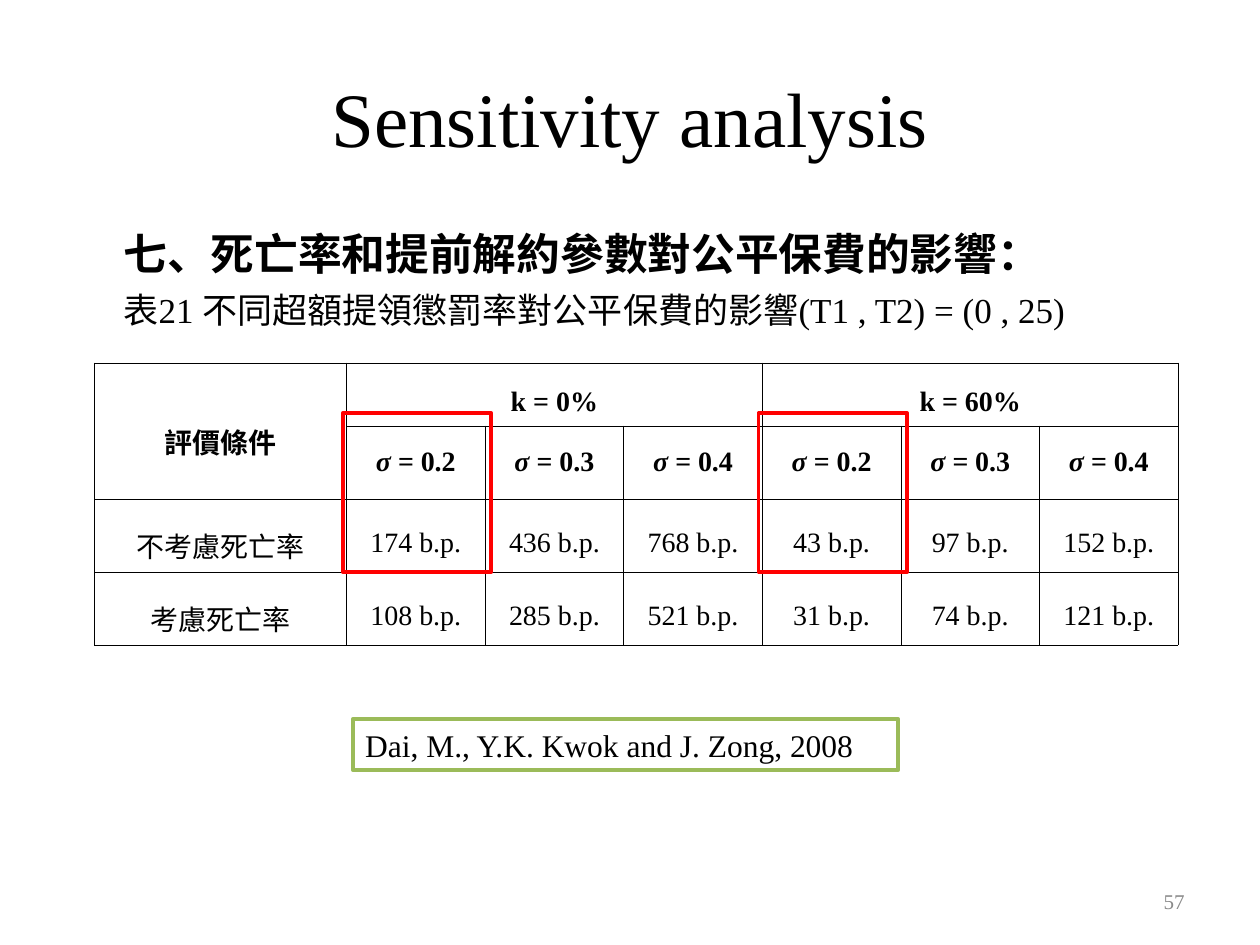
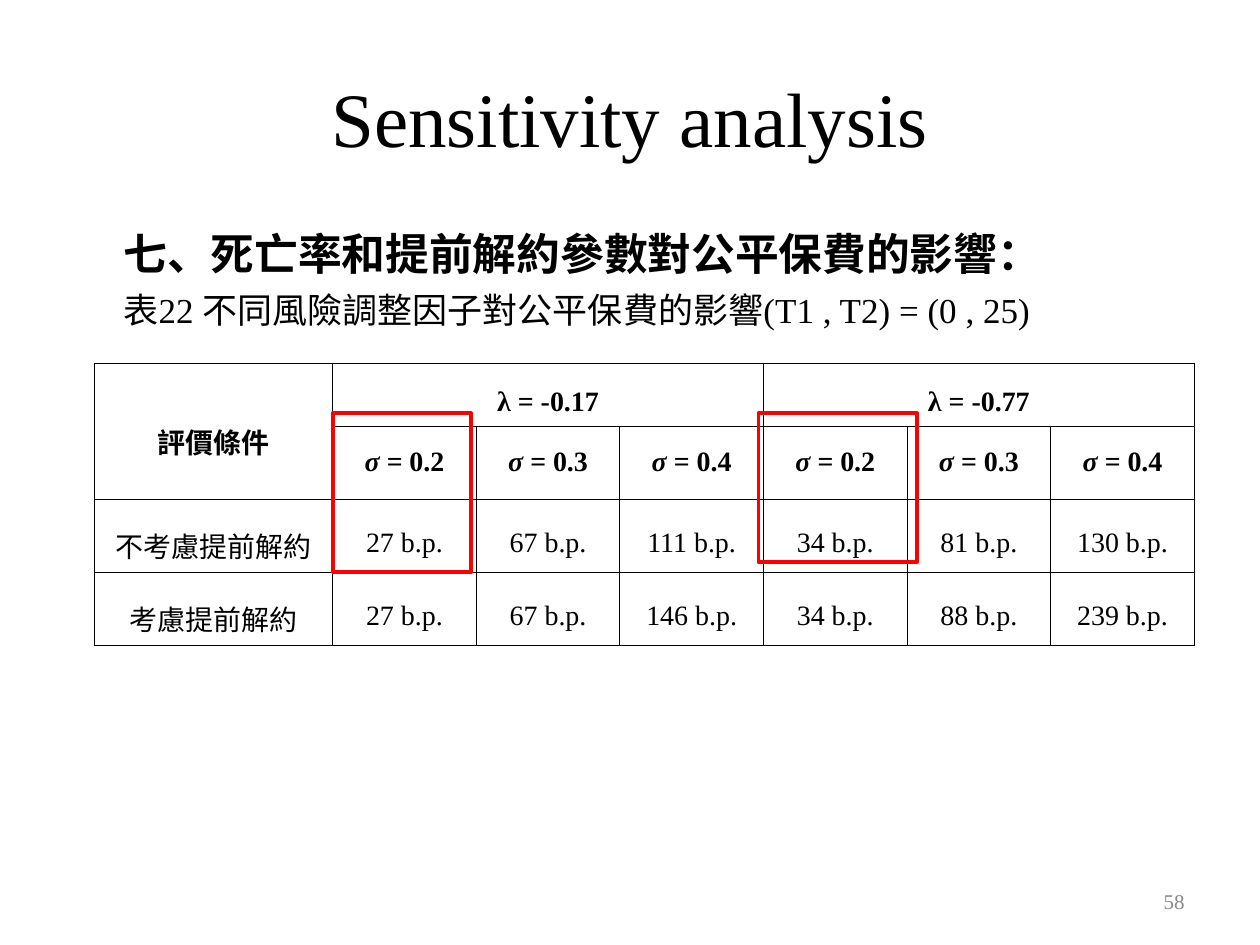
"""Build two sensitivity analysis slides on fair insurance fees."""
from lxml.etree import SubElement
from pptx import Presentation
from pptx.dml.color import RGBColor
from pptx.enum.shapes import MSO_SHAPE
from pptx.enum.text import MSO_ANCHOR, MSO_AUTO_SIZE, PP_ALIGN
from pptx.oxml.ns import qn
from pptx.util import Inches, Pt

FONT = "Times New Roman"
HUES = {"ink": "000000", "mark": "FF0000", "cite": "9BBB59", "page": "898989", "back": "FFFFFF"}
TITLE = "Sensitivity analysis"
HEAD = "七、死亡率和提前解約參數對公平保費的影響："
CORNER = "評價條件"
SIGMAS = ["0.2", "0.3", "0.4"]
HEIGHTS = [0.47, 0.58, 0.58, 0.58]
LEFT, TOP = 0.75, 2.88
SLIDES = [
    {
        "page": "57",
        "sub": "表21 不同超額提領懲罰率對公平保費的影響(T1 , T2) = (0 , 25)",
        "groups": ["k = 0%", "k = 60%"],
        "rows": [
            ("不考慮死亡率", [174, 436, 768, 43, 97, 152]),
            ("考慮死亡率", [108, 285, 521, 31, 74, 121]),
        ],
        "widths": (2, 1.1),
        "marks": [(2.72, 3.28, 1.18, 1.26), (6.02, 3.28, 1.18, 1.26)],
        "cite": "Dai, M., Y.K. Kwok and J. Zong, 2008",
    },
    {
        "page": "58",
        "sub": "表22 不同風險調整因子對公平保費的影響(T1 , T2) = (0 , 25)",
        "groups": ["λ = -0.17", "λ = -0.77"],
        "rows": [
            ("不考慮提前解約", [27, 67, 111, 34, 81, 130]),
            ("考慮提前解約", [27, 67, 146, 34, 88, 239]),
        ],
        "widths": (1.89, 1.14),
        "marks": [(2.64, 3.28, 1.1, 1.26), (6.02, 3.28, 1.26, 1.18)],
        "cite": None,
    },
]


def tint(name):
    return RGBColor.from_string(HUES[name])


def style(para, size, hue="ink", bold=False, align=PP_ALIGN.LEFT):
    para.alignment = align
    for run in para.runs:
        font = run.font
        font.name, font.size, font.bold = FONT, Pt(size), bold
        font.color.rgb = tint(hue)


def place(shape, *box):
    shape.left, shape.top, shape.width, shape.height = map(Inches, box)


def add_text(slide, data):
    title, body = slide.placeholders
    place(title, 0.5, 0.3, 9, 1.25)
    title.text_frame.text = TITLE
    style(title.text_frame.paragraphs[0], 44, align=PP_ALIGN.CENTER)

    place(body, 0.5, 1.75, 9, 4.95)
    frame = body.text_frame
    frame.auto_size = MSO_AUTO_SIZE.NONE
    frame.text = HEAD + "\n" + data["sub"]
    for para, size, bold, gap in zip(frame.paragraphs, (25, 20), (True, False), (0, 5)):
        props = para._p.get_or_add_pPr()
        props.set("marL", str(Inches(0.38)))
        props.set("indent", "0")
        SubElement(props, qn("a:buNone"))
        para.space_before = Pt(gap)
        style(para, size, bold=bold)

    page = slide.shapes.add_textbox(*map(Inches, (7.17, 6.95, 2.33, 0.4))).text_frame
    page.word_wrap = True
    page.vertical_anchor = MSO_ANCHOR.MIDDLE
    page.text = data["page"]
    style(page.paragraphs[0], 12, "page", align=PP_ALIGN.RIGHT)


def frame_cell(cell):
    props = cell._tc.get_or_add_tcPr()
    for side in ("lnL", "lnR", "lnT", "lnB"):
        line = SubElement(props, qn("a:" + side), w=str(Pt(0.45)))
        fill = SubElement(line, qn("a:solidFill"))
        SubElement(fill, qn("a:srgbClr"), val=HUES["ink"])
    cell.fill.background()
    cell.margin_left = cell.margin_right = Inches(0.13)
    cell.margin_top = cell.margin_bottom = Inches(0.05)
    cell.vertical_anchor = MSO_ANCHOR.MIDDLE


def add_grid(slide, data):
    first, rest = data["widths"]
    widths = [first] + [rest] * 6
    box = map(Inches, (LEFT, TOP, sum(widths), sum(HEIGHTS)))
    table = slide.shapes.add_table(len(HEIGHTS), len(widths), *box).table
    table.first_row = table.horz_banding = False
    for col, width in zip(table.columns, widths):
        col.width = Inches(width)
    for row, height in zip(table.rows, HEIGHTS):
        row.height = Inches(height)

    one, two = data["groups"]
    lines = [[CORNER, one, "", "", two, "", ""], [""] + SIGMAS * 2]
    lines += [[name] + [f"{num} b.p." for num in nums] for name, nums in data["rows"]]
    for r, line in enumerate(lines):
        for c, text in enumerate(line):
            cell = table.cell(r, c)
            frame_cell(cell)
            para = cell.text_frame.paragraphs[0]
            if r == 1 and c:
                sigma = para.add_run()
                sigma.text = "σ = "
                sigma.font.italic = True
                para.add_run().text = text
            elif text:
                para.text = text
                para.line_spacing = 1.5
            style(para, 16, bold=r < 2, align=PP_ALIGN.CENTER)
    table.cell(0, 0).merge(table.cell(1, 0))
    for c in (1, 4):
        table.cell(0, c).merge(table.cell(0, c + 2))


def add_box(slide, box, hue):
    shape = slide.shapes.add_shape(MSO_SHAPE.RECTANGLE, *map(Inches, box))
    shape.shadow.inherit = False
    shape.fill.background()
    shape.line.color.rgb = tint(hue)
    shape.line.width = Pt(2.25)
    return shape


def add_cite(slide, text):
    shape = add_box(slide, (2.8, 5.71, 4.33, 0.4), "cite")
    shape.fill.solid()
    shape.fill.fore_color.rgb = tint("back")
    frame = shape.text_frame
    frame.word_wrap = True
    frame.vertical_anchor = MSO_ANCHOR.TOP
    frame.text = text
    style(frame.paragraphs[0], 18)


def main():
    deck = Presentation()
    deck.slide_width, deck.slide_height = Inches(10), Inches(7.5)
    for data in SLIDES:
        slide = deck.slides.add_slide(deck.slide_layouts[1])
        add_text(slide, data)
        add_grid(slide, data)
        for box in data["marks"]:
            add_box(slide, box, "mark")
        if data["cite"]:
            add_cite(slide, data["cite"])
    deck.save("out.pptx")


if __name__ == "__main__":
    main()
